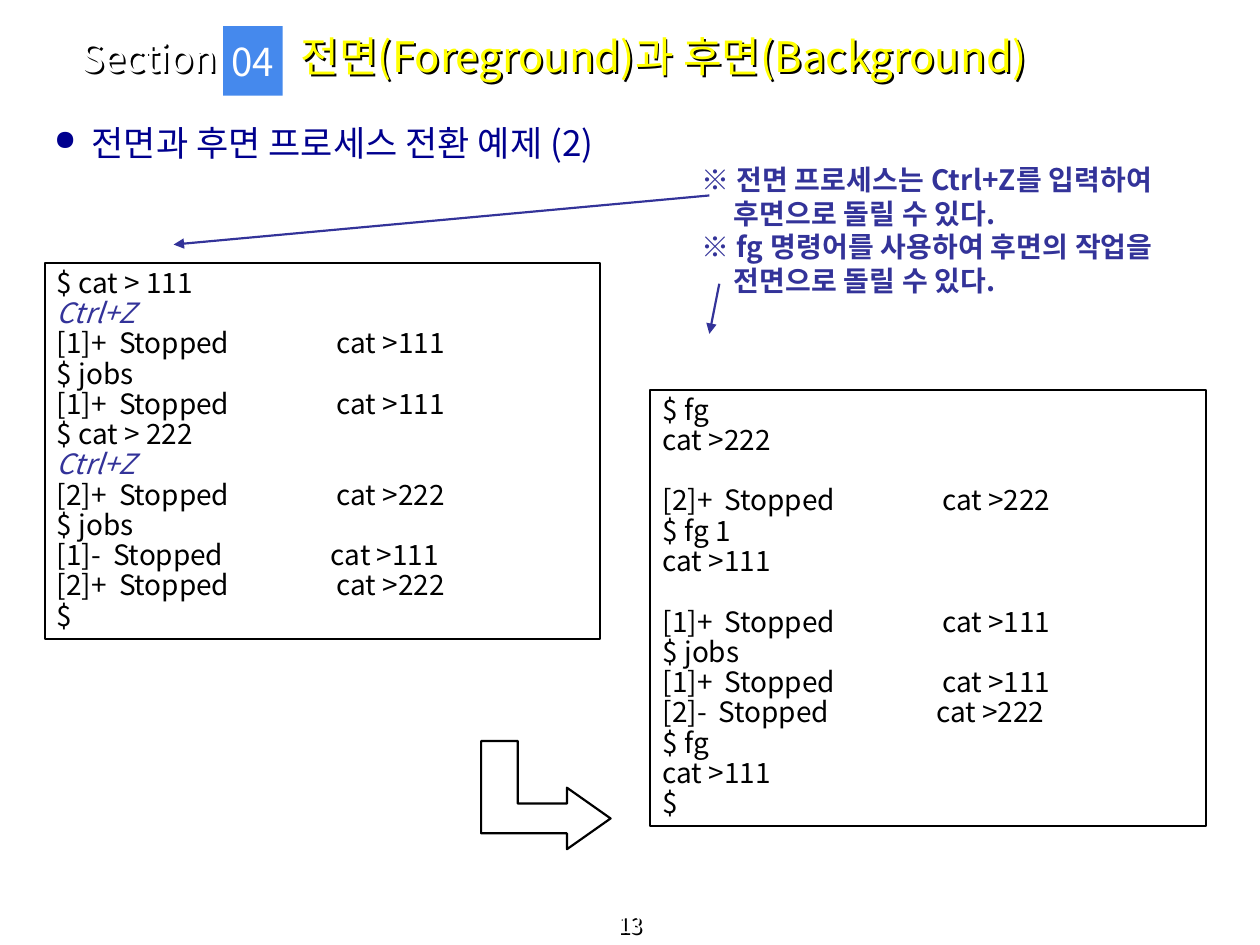
from lxml import etree
from pptx import Presentation
from pptx.dml.color import RGBColor
from pptx.enum import shapes, text
from pptx.oxml import ns
from pptx.util import Cm, Pt

FONT = "Noto Sans CJK KR"
BLACK, WHITE, YELLOW = "000000", "FFFFFF", "FFFF00"
INDIGO, NAVY, BLUE = "333399", "00008E", "4589ED"

# Content
TITLE = "전면(Foreground)과 후면(Background)"
HEADING = "전면과 후면 프로세스 전환 예제 (2)"
NOTES = [
    ("※ 전면 프로세스는 Ctrl+Z를 입력하여", "후면으로 돌릴 수 있다."),
    ("※ fg 명령어를 사용하여 후면의 작업을", "전면으로 돌릴 수 있다."),
]
KEY = "Ctrl+Z"
GAP = None  # empty terminal line
# left, top, width, height in cm, then the session lines
TERMINALS = [
    ((0.9, 5.31, 11.2, 7.57), [
        "$ cat > 111", KEY, "[1]+\tStopped\tcat >111", "$ jobs",
        "[1]+\tStopped\tcat >111", "$ cat > 222", KEY,
        "[2]+\tStopped\tcat >222", "$ jobs", "[1]-\tStopped\tcat >111",
        "[2]+\tStopped\tcat >222", "$"]),
    ((13.11, 7.87, 11.2, 8.79), [
        "$ fg", "cat >222", GAP, "[2]+\tStopped\tcat >222", "$ fg 1",
        "cat >111", GAP, "[1]+\tStopped\tcat >111", "$ jobs",
        "[1]+\tStopped\tcat >111", "[2]-\tStopped\tcat >222", "$ fg",
        "cat >111", "$"]),
]
TAB_STOPS = (1.25, 5.64)
MINUS_SHIFT = 0.12  # a minus is narrower than a plus
LINE_PITCH = 17.3
POINTERS = [((14.3, 3.94), (3.5, 4.93)), ((14.5, 5.72), (14.3, 6.73))]
BENT_ARROW = [(9.7, 14.94), (10.44, 14.94), (10.44, 16.2), (11.43, 16.2),
              (11.43, 15.88), (12.31, 16.5), (11.43, 17.12), (11.43, 16.8),
              (9.7, 16.8)]


def rgb(color):
    return RGBColor.from_string(color)


def sub(parent, tag, **attrs):
    return etree.SubElement(parent, ns.qn(tag), attrs)


def add_run(p, words, size, color, bold=False, italic=False):
    r = p.add_run()
    r.text = words
    r.font.size, r.font.bold, r.font.italic = Pt(size), bold, italic
    r.font.color.rgb = rgb(color)
    r.font.name = FONT
    sub(r.font._element, "a:ea", typeface=FONT)
    return r


def hang(p, distance):
    pPr = p._p.get_or_add_pPr()
    pPr.set("marL", str(Cm(distance)))
    pPr.set("indent", str(-Cm(distance)))
    return pPr


def frame(sp, anchor=text.MSO_ANCHOR.TOP, wrap=True):
    tf = sp.text_frame
    tf.word_wrap, tf.vertical_anchor = wrap, anchor
    tf.auto_size = text.MSO_AUTO_SIZE.NONE
    tf.margin_left = tf.margin_right = Cm(0.25)
    tf.margin_top = tf.margin_bottom = Cm(0.13)
    p = tf.paragraphs[0]
    p.alignment = text.PP_ALIGN.LEFT
    return tf, p


def add_text(s, box, anchor=text.MSO_ANCHOR.TOP, wrap=True):
    sp = s.shapes.add_textbox(*map(Cm, box))
    return (sp, *frame(sp, anchor, wrap))


def cast_shadow(sp):
    """Unfilled shape: the shadow falls from its letters."""
    sp.fill.background()
    effects = sub(sp._element.spPr, "a:effectLst")
    outer = sub(effects, "a:outerShdw", blurRad="0", dist=str(Pt(1.6)),
                dir="2700000", algn="tl", rotWithShape="0")
    sub(outer, "a:srgbClr", val=BLACK)


def paint(sp, fill=None, line=None):
    sp.shadow.inherit = False
    if fill:
        sp.fill.solid()
        sp.fill.fore_color.rgb = rgb(fill)
    else:
        sp.fill.background()
    if line:
        sp.line.color.rgb, sp.line.width = rgb(line), Pt(1.25)
    else:
        sp.line.fill.background()


def add_rect(s, box, fill=None, line=None):
    sp = s.shapes.add_shape(shapes.MSO_SHAPE.RECTANGLE, *map(Cm, box))
    paint(sp, fill, line)
    return frame(sp, text.MSO_ANCHOR.MIDDLE)


def add_terminal(s, box, lines):
    tf, p = add_rect(s, box, line=BLACK)
    tf.margin_bottom = Cm(0.17)
    skipped = 0
    for i, words in enumerate(lines):
        if words is GAP:
            skipped += 1
            continue
        if i:
            p = tf.add_paragraph()
        p.alignment = text.PP_ALIGN.LEFT
        p.line_spacing = Pt(LINE_PITCH)
        p.space_before = Pt(LINE_PITCH * skipped)
        skipped = 0
        if "\t" in words:
            shift = MINUS_SHIFT if "-" in words else 0
            tabs = sub(p._p.get_or_add_pPr(), "a:tabLst")
            for stop in TAB_STOPS:
                sub(tabs, "a:tab", pos=str(Cm(stop - shift)), algn="l")
        is_key = words == KEY
        add_run(p, words, 16, INDIGO if is_key else BLACK, italic=is_key)


def add_pointer(s, start, end):
    c = s.shapes.add_connector(shapes.MSO_CONNECTOR.STRAIGHT,
                               *map(Cm, start + end))
    c.line.color.rgb, c.line.width = rgb(INDIGO), Pt(1.25)
    sub(c.line._get_or_add_ln(), "a:tailEnd", type="triangle")
    sub(c._element.spPr, "a:effectLst")


def main():
    prs = Presentation()
    prs.slide_width, prs.slide_height = Cm(25.4), Cm(19.05)
    s = prs.slides.add_slide(prs.slide_layouts[5])

    # Title with section label and number
    sp = s.shapes.title
    sp.left, sp.top, sp.width, sp.height = map(Cm, (5.81, 0.26, 16.5, 1.73))
    tf, p = frame(sp, text.MSO_ANCHOR.MIDDLE)
    cast_shadow(sp)
    add_run(p, TITLE, 24, YELLOW)
    sp, tf, p = add_text(s, (1.4, 0.69, 4.9, 0.94), text.MSO_ANCHOR.MIDDLE)
    cast_shadow(sp)
    add_run(p, "Section", 22, WHITE)
    tf, p = add_rect(s, (4.5, 0.53, 1.2, 1.4), fill=BLUE)
    tf.word_wrap = False
    p.alignment = text.PP_ALIGN.CENTER
    add_run(p, "04", 22, WHITE)

    # Bulleted heading
    sp, tf, p = add_text(s, (0.84, 2.31, 23.7, 1.19))
    p.space_before = Pt(5)
    pPr = hang(p, 0.76)
    sub(sub(pPr, "a:buClr"), "a:srgbClr", val=NAVY)
    sub(pPr, "a:buSzPct", val="80000")
    sub(pPr, "a:buChar", char="●")
    add_run(p, HEADING, 20, NAVY)

    # Terminal sessions and the bent arrow between them
    for box, lines in TERMINALS:
        add_terminal(s, box, lines)
    points = [(Cm(x), Cm(y)) for x, y in BENT_ARROW]
    builder = s.shapes.build_freeform(*points[0])
    builder.add_line_segments(points[1:], close=True)
    paint(builder.convert_to_shape(), WHITE, BLACK)

    # Remarks with pointers
    sp, tf, p = add_text(s, (13.9, 3.15, 9.88, 2.97), wrap=False)
    for i, lines in enumerate(NOTES):
        if i:
            p = tf.add_paragraph()
        p.alignment = text.PP_ALIGN.LEFT
        p.line_spacing = Pt(19.2)
        hang(p, 0.64)
        for j, words in enumerate(lines):
            if j:
                p.add_line_break()
            r = add_run(p, words, 16, INDIGO, bold=True)
            r.font._element.set("spc", "15")
    for start, end in POINTERS:
        add_pointer(s, start, end)

    # Page number
    sp, tf, p = add_text(s, (0, 18.49, 25.4, 0.56), text.MSO_ANCHOR.BOTTOM)
    cast_shadow(sp)
    p.alignment = text.PP_ALIGN.CENTER
    add_run(p, "13", 13, WHITE)

    prs.save("out.pptx")


if __name__ == "__main__":
    main()
